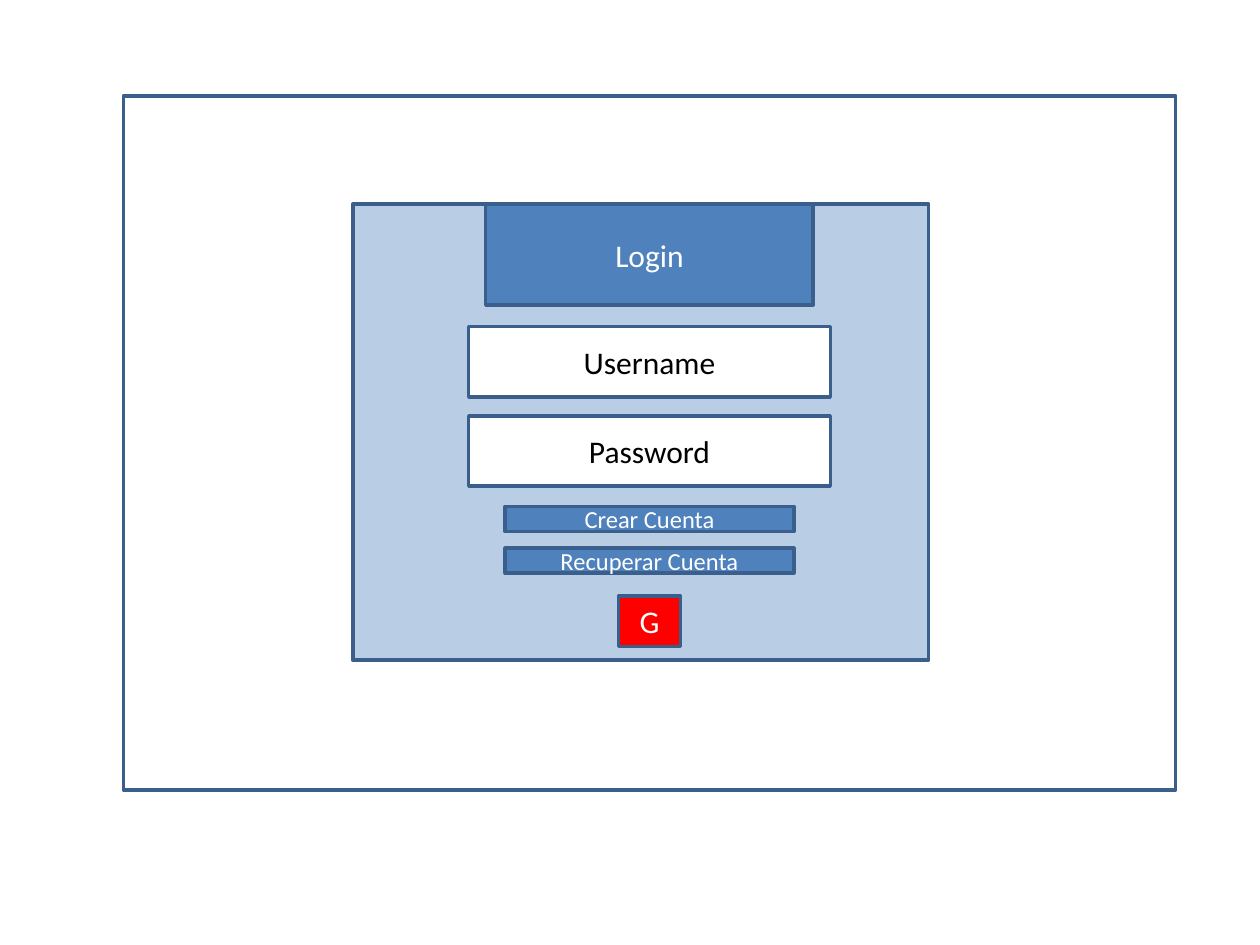
from pptx import Presentation
from pptx.dml.color import RGBColor
from pptx.enum.shapes import MSO_SHAPE
from pptx.enum.text import MSO_ANCHOR, PP_ALIGN
from pptx.util import Inches, Pt

WHITE, BLACK, RED = "FFFFFF", "000000", "FF0000"
BLUE, PALE_BLUE, BORDER = "4F81BD", "B9CDE5", "3A5F8C"


def color(hex_value):
    """Turn a hex string into a colour."""
    return RGBColor.from_string(hex_value)


def add_box(s, left, top, width, height, fill, text="", size=18, ink=WHITE):
    """Add a bordered rectangle with optional centred text."""
    sp = s.shapes.add_shape(MSO_SHAPE.RECTANGLE, Inches(left), Inches(top),
                            Inches(width), Inches(height))
    sp.shadow.inherit = False
    sp.fill.solid()
    sp.fill.fore_color.rgb = color(fill)
    sp.line.color.rgb = color(BORDER)
    sp.line.width = Pt(2)
    if text:
        tf = sp.text_frame
        tf.text = text
        tf.word_wrap = True
        tf.vertical_anchor = MSO_ANCHOR.MIDDLE
        p = tf.paragraphs[0]
        p.alignment = PP_ALIGN.CENTER
        font = p.runs[0].font
        font.name, font.size = "Calibri", Pt(size)
        font.color.rgb = color(ink)


def add_login_panel(s, left, top, width, height, center):
    """Draw the login panel, its controls centred on the given x."""
    add_box(s, left, top, width, height, PALE_BLUE)
    controls = [  # offset from panel top, width, height, fill, text, size, ink
        (0, 2.6, 0.8, BLUE, "Login", 18, WHITE),
        (0.97, 2.87, 0.56, WHITE, "Username", 18, BLACK),
        (1.68, 2.87, 0.56, WHITE, "Password", 18, BLACK),
        (2.4, 2.29, 0.2, BLUE, "Crear Cuenta", 14, WHITE),
        (2.73, 2.29, 0.2, BLUE, "Recuperar Cuenta", 14, WHITE),
        (3.11, 0.49, 0.4, RED, "G", 18, WHITE),
    ]
    for offset, w, h, fill, text, size, ink in controls:
        add_box(s, center - w / 2, top + offset, w, h, fill, text, size, ink)


def add_login_screen(s, left, top, width, height):
    """Draw the window frame with the login panel inside it."""
    add_box(s, left, top, width, height, WHITE)
    add_login_panel(s, left + 1.82, top + 0.86, 4.57, 3.62, left + width / 2)


prs = Presentation()
prs.slide_width, prs.slide_height = Inches(10), Inches(7.5)
slide = prs.slides.add_slide(prs.slide_layouts[6])
add_login_screen(slide, 0.98, 0.76, 8.35, 5.51)
prs.save("out.pptx")
